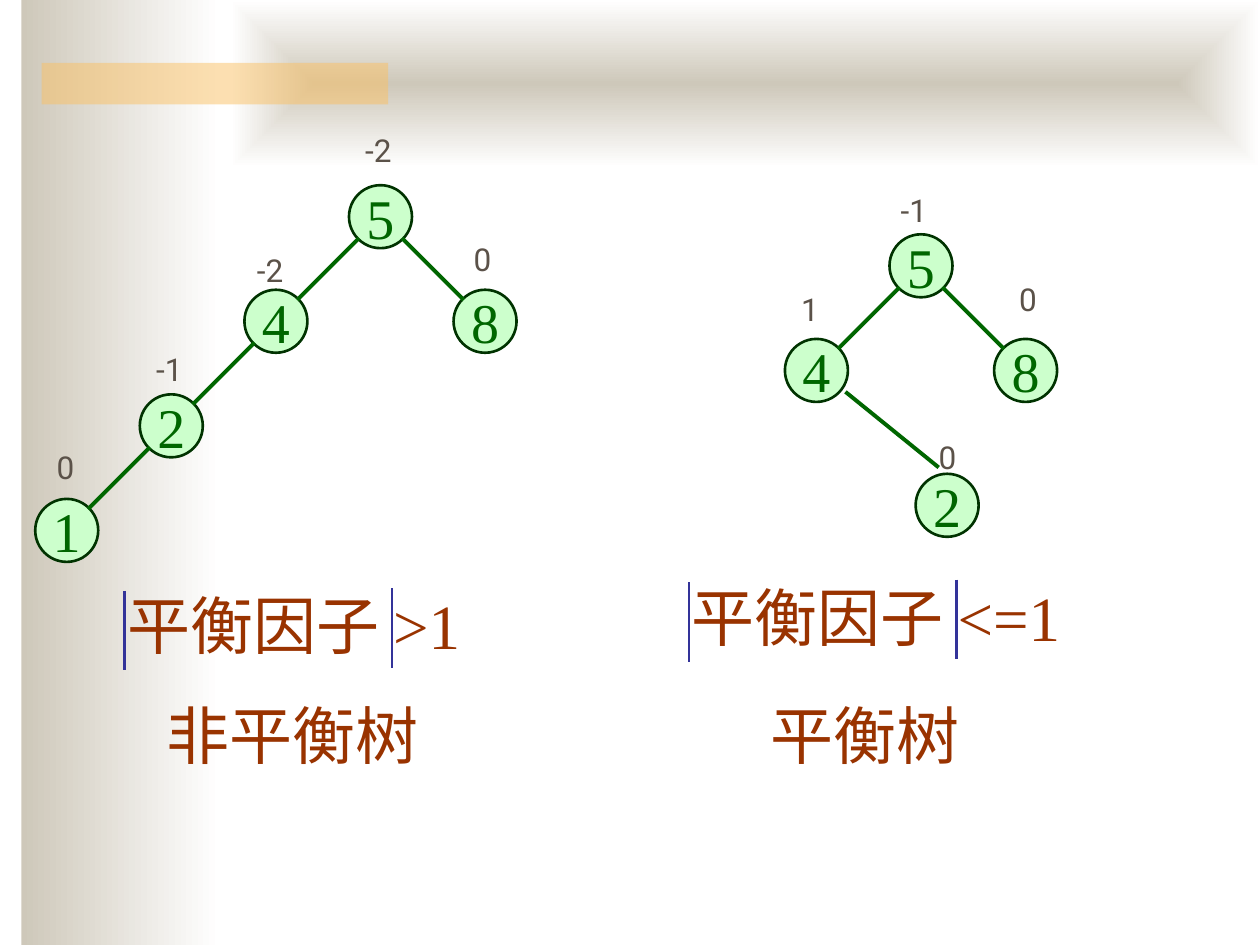
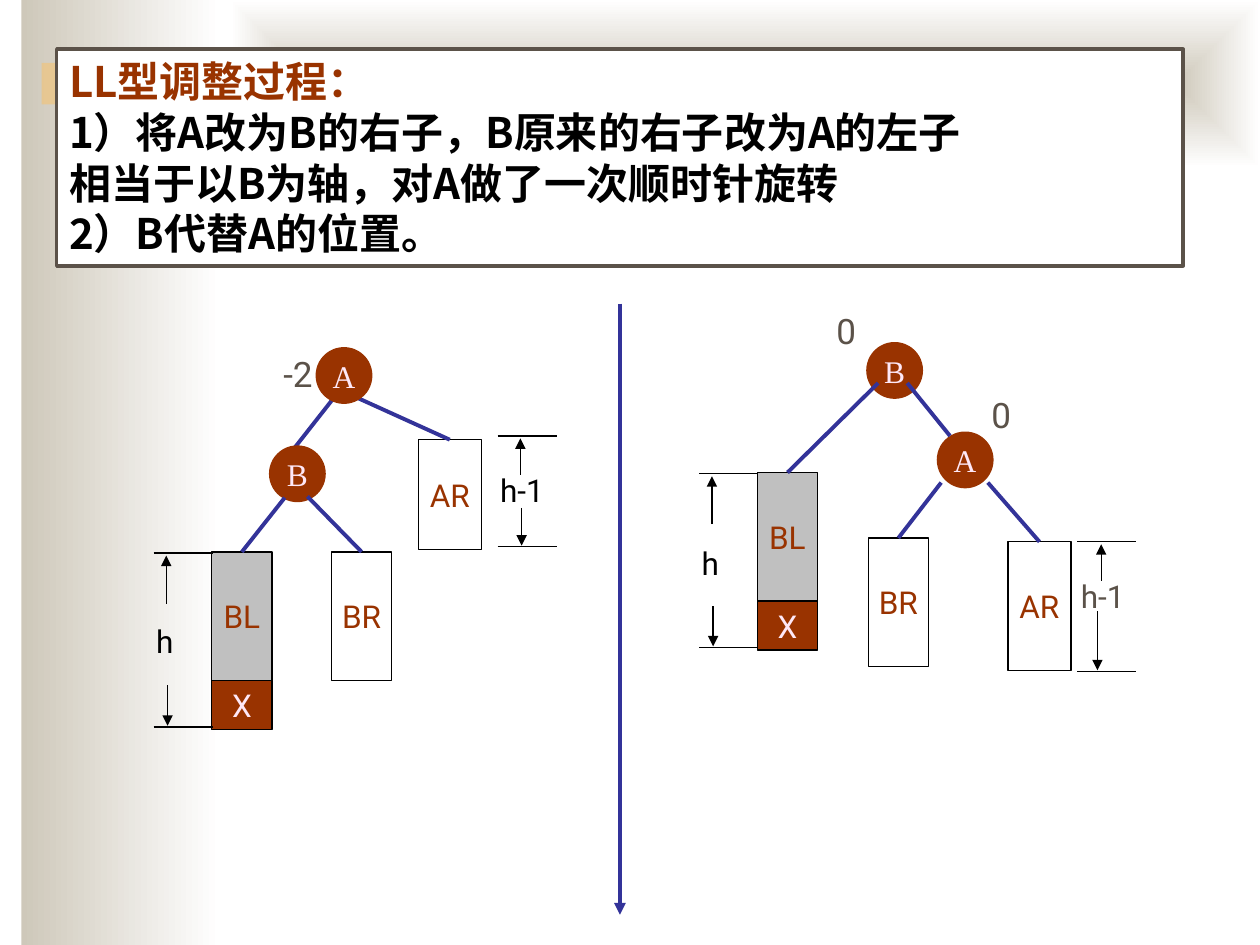
from dataclasses import dataclass
from typing import NamedTuple, Optional

from lxml import etree
from pptx import Presentation
from pptx import dml, shapes as shp, slide as sld, util as u
from pptx.dml import color as clr
from pptx.enum import shapes, text
from pptx.oxml import ns


# Theme: colours, type and line widths
@dataclass(frozen=True)
class Theme:
    sand: str = "CEC8BA"
    white: str = "FFFFFF"
    amber: str = "FAC164"
    mint: str = "CCFFCC"
    forest: str = "003300"
    green: str = "006600"
    rust: str = "993300"
    blush: str = "FEE8F7"
    navy: str = "333399"
    stone: str = "5B5249"
    grey: str = "C0C0C0"
    black: str = "000000"
    serif: str = "Times New Roman"
    sans: str = "Roboto"
    chinese: str = "Noto Sans CJK SC"
    thin: float = 0.75
    medium: float = 1.5
    thick: float = 2.25
    frame: float = 2


T = Theme()


class TextStyle(NamedTuple):
    size: int
    name: str
    color: str
    bold: bool = False


KEY = TextStyle(32, T.serif, T.green)
CAPTION = TextStyle(36, T.serif, T.rust)
FACTOR = TextStyle(18, T.sans, T.stone)
BIG_FACTOR = TextStyle(20, T.sans, T.stone)
LETTER = TextStyle(18, T.serif, T.blush)
SUBTREE = TextStyle(18, T.sans, T.rust)
INSERTED = TextStyle(18, T.sans, T.blush)
MEASURE = TextStyle(18, T.sans, T.black)
HEADING = TextStyle(24, T.chinese, T.rust, True)
STEP = TextStyle(24, T.chinese, T.black, True)


class Look(NamedTuple):
    fill: Optional[str]
    line: Optional[str] = None
    width: float = T.thin


KEY_NODE = Look(T.mint, T.forest, T.medium)
LETTER_NODE = Look(T.rust, T.rust, T.thick)

Box = tuple[float, float, float, float]
Point = tuple[float, float]
RECT, OVAL = shapes.MSO_SHAPE.RECTANGLE, shapes.MSO_SHAPE.OVAL


class Label(NamedTuple):
    words: str
    left: float
    top: float
    width: float


class Node(NamedTuple):
    words: str
    x: float
    y: float


class Subtree(NamedTuple):
    words: str
    box: Box
    fill: Optional[str] = T.white
    style: TextStyle = SUBTREE


class Branch(NamedTuple):
    start: Point
    end: Point
    target: Optional[str] = None


class Height(NamedTuple):
    """A height mark: two rules, a label and two arrows."""
    words: str
    left: float
    top: float
    bottom: float
    label: Point
    width: float
    up: Point
    down: Point
    style: TextStyle = MEASURE


# Drawing functions
def rgb(code: str) -> clr.RGBColor:
    return clr.RGBColor.from_string(code)


def write(paragraph, words: str, style: TextStyle) -> None:
    run = paragraph.add_run()
    run.text = words
    formats = {"size": u.Pt(style.size), "name": style.name, "bold": style.bold}
    for attribute, value in formats.items():
        setattr(run.font, attribute, value)
    run.font.color.rgb = rgb(style.color)
    east_asian = etree.SubElement(run._r.get_or_add_rPr(), ns.qn("a:ea"))
    east_asian.set("typeface", T.chinese)


def add_block(page: sld.Slide, kind, box: Box, look: Look,
              words: str = "", style: TextStyle = KEY):
    block = page.shapes.add_shape(kind, *map(u.Inches, box))
    block.shadow.inherit = False
    if look.fill:
        block.fill.solid()
        block.fill.fore_color.rgb = rgb(look.fill)
    else:
        block.fill.background()
    if look.line:
        block.line.color.rgb = rgb(look.line)
        block.line.width = u.Pt(look.width)
    else:
        block.line.fill.background()
    if words:
        formats = {"word_wrap": False, "vertical_anchor": text.MSO_ANCHOR.MIDDLE}
        for attribute, value in formats.items():
            setattr(block.text_frame, attribute, value)
        paragraph = block.text_frame.paragraphs[0]
        paragraph.alignment = text.PP_ALIGN.CENTER
        write(paragraph, words, style)
    return block


def add_node(page: sld.Slide, node: Node, size: float, look: Look, style: TextStyle) -> None:
    box = (node.x - size / 2, node.y - size / 2, size, size)
    add_block(page, OVAL, box, look, node.words, style)


def add_label(page: sld.Slide, label: Label, style: TextStyle) -> None:
    height = 0.1 + style.size / 60
    box = (label.left, label.top, label.width, height)
    frame = page.shapes.add_textbox(*map(u.Inches, box)).text_frame
    formats = {"word_wrap": True, "auto_size": text.MSO_AUTO_SIZE.SHAPE_TO_FIT_TEXT}
    for attribute, value in formats.items():
        setattr(frame, attribute, value)
    write(frame.paragraphs[0], label.words, style)


def add_line(page: sld.Slide, start: Point, end: Point, color: str,
             width: float, arrow: bool = False, target=None) -> None:
    line = page.shapes.add_connector(
        shapes.MSO_CONNECTOR.STRAIGHT, *map(u.Inches, (*start, *end)))
    if target is not None:
        line.end_connect(target, 0)
    line.line.color.rgb = rgb(color)
    line.line.width = u.Pt(width)
    properties = line._element.spPr
    if arrow:
        head = etree.SubElement(properties.find(ns.qn("a:ln")), ns.qn("a:tailEnd"))
        head.set("type", "triangle")
    etree.SubElement(properties, ns.qn("a:effectLst"))


def add_height(page: sld.Slide, mark: Height) -> None:
    for y in (mark.top, mark.bottom):
        add_line(page, (mark.left, y), (mark.left + 0.47, y), T.black, T.thin)
    add_label(page, Label(mark.words, *mark.label, mark.width), mark.style)
    for (x, y), tip in ((mark.up, mark.top + 0.02), (mark.down, mark.bottom - 0.01)):
        add_line(page, (x, y), (x, tip), T.black, T.thin, arrow=True)


def add_backdrop(page: sld.Slide) -> None:
    """Side band, top band and translucent accent bar."""
    side = add_block(page, RECT, (0.17, 0, 1.58, 7.5), Look(T.sand))
    top = add_block(page, RECT, (1.83, 0, 8.17, 1.33), Look(T.sand))
    for band in (side, top):
        band.fill.gradient()
        band.fill.gradient_angle = 0
        for stop, color in zip(band.fill.gradient_stops, (T.sand, T.white)):
            stop.color.rgb = rgb(color)
    gradient = top._element.spPr.find(ns.qn("a:gradFill"))
    linear = gradient.find(ns.qn("a:lin"))
    radial = etree.Element(ns.qn("a:path"), {"path": "shape"})
    etree.SubElement(radial, ns.qn("a:fillToRect"), dict.fromkeys("ltrb", "50000"))
    gradient.replace(linear, radial)
    accent = add_block(page, RECT, (0.33, 0.5, 2.75, 0.33), Look(T.amber))
    tint = accent._element.spPr.find(".//" + ns.qn("a:srgbClr"))
    etree.SubElement(tint, ns.qn("a:alpha")).set("val", "50000")


# Slide 1: unbalanced and balanced trees
LEVEL = 0.83


def add_key_tree(page: sld.Slide, root: Point, keys: dict[str, Point],
                 edges: tuple[str, ...]) -> None:
    """Keys sit at (column, level) steps from the root; edges pair two keys."""
    nodes = {key: Node(key, root[0] + column * LEVEL, root[1] + level * LEVEL)
             for key, (column, level) in keys.items()}
    for node in nodes.values():
        add_node(page, node, 0.5, KEY_NODE, KEY)
    for parent, child in edges:
        a, b = nodes[parent], nodes[child]
        trim = 0.17 if b.x > a.x else -0.17
        add_line(page, (a.x + trim, a.y + 0.17), (b.x - trim, b.y - 0.17), T.green, T.thick)


def add_verdict(page: sld.Slide, left: float, top: float, relation: str, verdict: Label) -> None:
    add_label(page, Label(f"平衡因子 {relation}", left, top, 3.31), CAPTION)
    for dx, dy in ((0.08, 0.08), (2.2, 0.06)):
        x, y = left + dx, top + dy
        add_line(page, (x, y), (x, y + 0.63), T.navy, T.medium)
    add_label(page, verdict, CAPTION)


def build_balance_slide(page: sld.Slide) -> None:
    add_backdrop(page)
    add_key_tree(page, (3.02, 1.72),
                 {"5": (0, 0), "4": (-1, 1), "8": (1, 1), "2": (-2, 2), "1": (-3, 3)},
                 ("54", "42", "21", "58"))
    add_key_tree(page, (7.31, 2.11),
                 {"5": (0, 0), "4": (-1, 1), "8": (1, 1), "2": (0.25, 2.29)},
                 ("54", "58"))
    add_line(page, (6.71, 3.11), (7.45, 3.71), T.green, T.thick)
    factors = (
        Label("0", 0.35, 3.51, 0.39), Label("-1", 1.14, 2.73, 0.55),
        Label("-2", 1.94, 1.94, 0.46), Label("-2", 2.8, 0.99, 0.48),
        Label("0", 3.66, 1.86, 0.39), Label("0", 7.35, 3.43, 0.39),
        Label("0", 7.99, 2.17, 0.39), Label("1", 6.26, 2.25, 0.47),
        Label("-1", 7.05, 1.47, 0.47),
    )
    for factor in factors:
        add_label(page, factor, FACTOR)
    add_verdict(page, 0.91, 4.61, ">1", Label("非平衡树", 1.22, 5.48, 2.44))
    add_verdict(page, 5.39, 4.54, "<=1", Label("平衡树", 6.02, 5.48, 2.38))


# Slide 2: LL rotation, before and after
def add_rotation_side(page: sld.Slide, subtrees: tuple[Subtree, ...],
                      under: tuple[Branch, ...], nodes: tuple[Node, ...],
                      over: tuple[Branch, ...], factors: tuple[Label, ...],
                      heights: tuple[Height, ...]) -> None:
    blocks = {s.words: add_block(page, RECT, s.box, Look(s.fill, T.black), s.words, s.style)
              for s in subtrees}

    def add_branches(branches: tuple[Branch, ...]) -> None:
        for branch in branches:
            add_line(page, branch.start, branch.end, T.navy, T.thick,
                     target=blocks.get(branch.target))

    add_branches(under)
    for node in nodes:
        add_node(page, node, 0.42, LETTER_NODE, LETTER)
    add_branches(over)
    for factor in factors:
        add_label(page, factor, BIG_FACTOR)
    for mark in heights:
        add_height(page, mark)


def build_rotation_slide(page: sld.Slide) -> None:
    add_backdrop(page)
    steps = add_block(page, RECT, (0.45, 0.39, 8.94, 1.72), Look(T.white, T.stone, T.frame))
    frame = steps.text_frame
    formats = {"word_wrap": True, "vertical_anchor": text.MSO_ANCHOR.TOP}
    for attribute, value in formats.items():
        setattr(frame, attribute, value)
    lines = ("LL型调整过程：", "1）将A改为B的右子，B原来的右子改为A的左子",
             "相当于以B为轴，对A做了一次顺时针旋转", "2）B代替A的位置。")
    for number, words in enumerate(lines):
        paragraph = frame.add_paragraph() if number else frame.paragraphs[0]
        paragraph.alignment = text.PP_ALIGN.LEFT
        paragraph.line_spacing = u.Pt(29)
        write(paragraph, words, STEP if number else HEADING)
    add_line(page, (4.92, 2.41), (4.92, 7.26), T.navy, T.thick, arrow=True)

    add_rotation_side(
        page,
        subtrees=(Subtree("BL", (1.68, 4.38, 0.48, 1.02), T.grey),
                  Subtree("BR", (2.63, 4.38, 0.48, 1.02)),
                  Subtree("AR", (3.32, 3.49, 0.5, 0.87)),
                  Subtree("X", (1.68, 5.4, 0.48, 0.39), T.rust, INSERTED)),
        under=(Branch((2.64, 3.17), (2.31, 3.59)), Branch((2.82, 3.15), (3.57, 3.49), "AR")),
        nodes=(Node("A", 2.73, 2.98), Node("B", 2.36, 3.76)),
        over=(Branch((2.26, 3.95), (1.92, 4.38), "BL"),
              Branch((2.44, 3.94), (2.87, 4.38), "BR")),
        factors=(Label("-2", 2.15, 2.75, 0.55),),
        heights=(Height("h", 1.22, 4.39, 5.77, (1.14, 4.89), 0.46, (1.32, 4.79), (1.33, 5.44)),
                 Height("h-1", 3.95, 3.46, 4.34, (3.87, 3.69), 0.71,
                        (4.13, 3.77), (4.14, 4.03))))
    add_rotation_side(
        page,
        subtrees=(Subtree("BL", (6.01, 3.75, 0.48, 1.02), T.grey),
                  Subtree("BR", (6.89, 4.27, 0.48, 1.02), None),
                  Subtree("AR", (8, 4.3, 0.5, 1.02)),
                  Subtree("X", (6.01, 4.77, 0.48, 0.39), T.rust, INSERTED)),
        under=(Branch((7.47, 3.83), (7.13, 4.27), "BR"), Branch((7.84, 3.83), (8.25, 4.3), "AR")),
        nodes=(Node("A", 7.66, 3.65), Node("B", 7.1, 2.94)),
        over=(Branch((6.97, 3.04), (6.25, 3.75), "BL"), Branch((7.2, 3.04), (7.54, 3.46))),
        factors=(Label("0", 6.54, 2.41, 0.55), Label("0", 7.77, 3.07, 0.55)),
        heights=(Height("h", 5.55, 3.76, 5.14, (5.47, 4.27), 0.46, (5.65, 4.16), (5.66, 4.81)),
                 Height("h-1", 8.55, 4.3, 5.33, (8.48, 4.53), 0.71,
                        (8.74, 4.61), (8.71, 4.85), FACTOR)))


def main() -> None:
    deck = Presentation()
    deck.slide_width, deck.slide_height = u.Inches(10), u.Inches(7.5)
    for build in (build_balance_slide, build_rotation_slide):
        build(deck.slides.add_slide(deck.slide_layouts[6]))
    deck.save("out.pptx")


if __name__ == "__main__":
    main()
